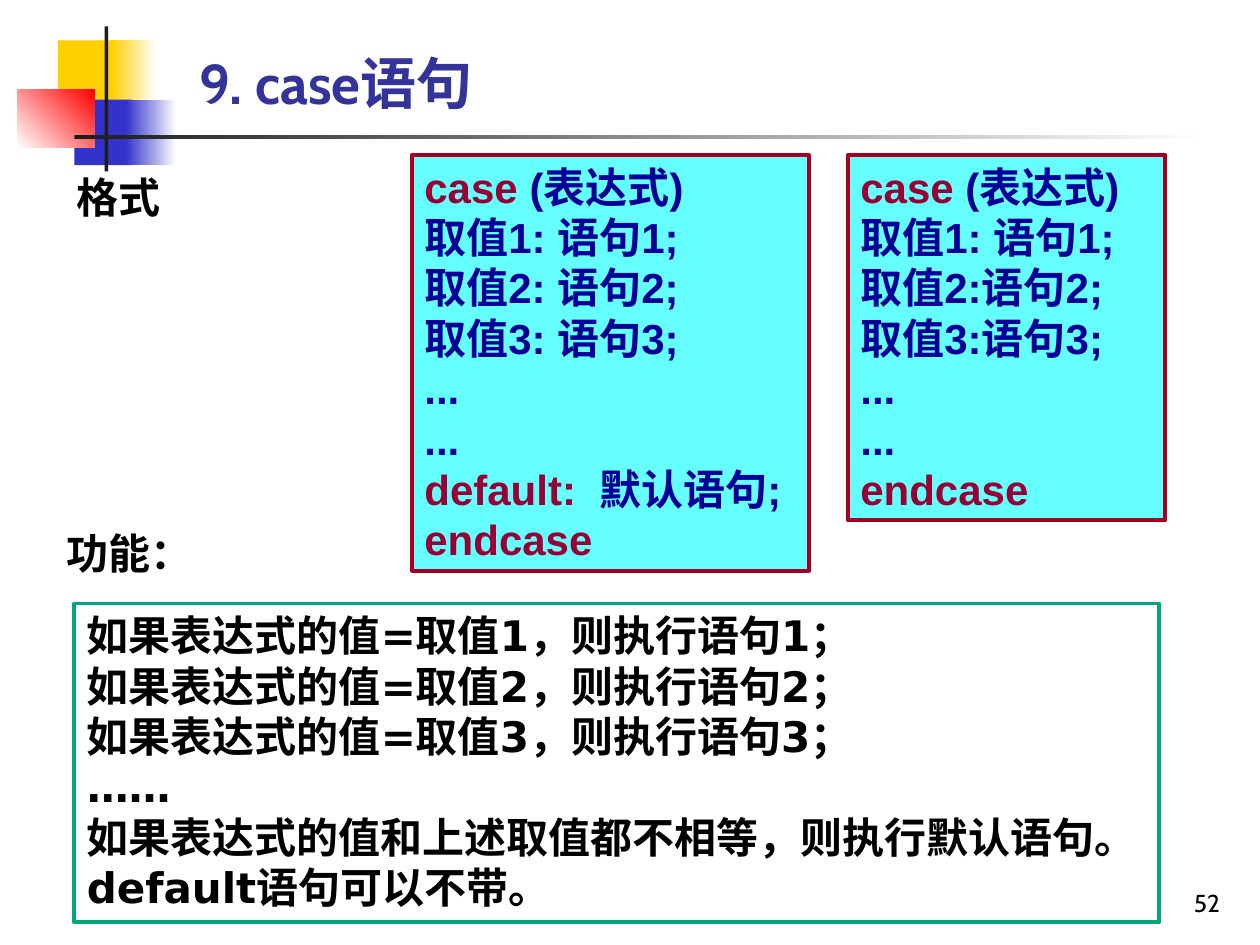
from pptx import Presentation
from pptx.dml.color import RGBColor
from pptx.enum.shapes import MSO_SHAPE
from pptx.enum.text import MSO_ANCHOR, PP_ALIGN
from pptx.util import Inches, Pt

RECTANGLE = MSO_SHAPE.RECTANGLE
TOP, BOTTOM = MSO_ANCHOR.TOP, MSO_ANCHOR.BOTTOM
LEFT, RIGHT = PP_ALIGN.LEFT, PP_ALIGN.RIGHT
KEYWORD, CODE, BLACK = "990033", "000099", "000000"


def color(value):
    return RGBColor.from_string(value)


def write(shape, lines, font="DejaVu Sans", size=24, bold=True,
          align=LEFT, anchor=TOP, wrap=True):
    """Fill a shape with lines, each a list of (text, colour) runs."""
    frame = shape.text_frame
    frame.word_wrap = wrap
    frame.vertical_anchor = anchor
    for index, runs in enumerate(lines):
        paragraph = frame.add_paragraph() if index else frame.paragraphs[0]
        paragraph.alignment = align
        paragraph.font.name = font
        paragraph.font.size = Pt(size)
        paragraph.font.bold = bold
        for text, run_color in runs:
            run = paragraph.add_run()
            run.text = text
            run.font.color.rgb = color(run_color)


presentation = Presentation()
presentation.slide_width = Inches(10)
presentation.slide_height = Inches(7.5)
slide = presentation.slides.add_slide(presentation.slide_layouts[5])

# Corner decoration: left, top, width, height, colours, gradient angle
decorations = [
    (0.46, 0.32, 0.48, 0.52, ["FFCF01"], 0),
    (0.88, 0.32, 0.36, 0.52, ["FFCF01", "FFFFFF"], 0),
    (0.59, 0.79, 0.46, 0.52, ["3333CC"], 0),
    (1, 0.79, 0.4, 0.52, ["3333CC", "FFFFFF"], 0),
    (0.14, 0.71, 0.61, 0.46, ["FFFFFF", "FF0000"], 45),
    (0.83, 0.21, 0.03, 1.15, ["1C1C1C"], 0),
    (0.59, 1.07, 9, 0.03, ["1C1C1C", "FFFFFF"], 0),
]
for *box, colors, angle in decorations:
    shape = slide.shapes.add_shape(RECTANGLE, *map(Inches, box))
    shape.shadow.inherit = False
    shape.line.fill.background()
    if len(colors) == 1:
        shape.fill.solid()
        shape.fill.fore_color.rgb = color(colors[0])
    else:
        shape.fill.gradient()
        shape.fill.gradient_angle = angle
        for position, (stop, value) in enumerate(zip(shape.fill.gradient_stops, colors)):
            stop.position = position
            stop.color.rgb = color(value)

title = slide.shapes.title
title.left, title.top = Inches(1.48), Inches(0.21)
title.width, title.height = Inches(8.52), Inches(0.76)
write(title, [[("9. case语句", "333399")]], "Cabin", 32, anchor=BOTTOM)

# Framed boxes: the two case forms and the explanation
head = [[("case", KEYWORD), (" (表达式)", CODE)]]
dots = [[("...", CODE)]] * 2
end = [[("endcase", KEYWORD)]]
with_default = (
    head + [[(f"取值{n}: 语句{n};", CODE)] for n in (1, 2, 3)] + dots
    + [[("default:  ", KEYWORD), ("默认语句;", CODE)]] + end
)
without_default = (
    head + [[("取值1: 语句1;", CODE)]]
    + [[(f"取值{n}:语句{n};", CODE)] for n in (2, 3)] + dots + end
)
explanation = [[(f"如果表达式的值=取值{n}，则执行语句{n}；", BLACK)] for n in (1, 2, 3)] + [
    [("……", BLACK)],
    [("如果表达式的值和上述取值都不相等，则执行默认语句。", BLACK)],
    [("default语句可以不带。", BLACK)],
]
frames = [
    (3.27, 1.23, 3.15, 3.3, "66FFFF", "A50021", "Arial", with_default),
    (6.73, 1.23, 2.52, 2.9, "66FFFF", "A50021", "Arial", without_default),
    (0.59, 4.79, 8.61, 2.53, None, "00A87C", "DejaVu Sans", explanation),
]
for *box, fill, border, font, lines in frames:
    shape = slide.shapes.add_shape(RECTANGLE, *map(Inches, box))
    shape.shadow.inherit = False
    if fill:
        shape.fill.solid()
        shape.fill.fore_color.rgb = color(fill)
    else:
        shape.fill.background()
    shape.line.color.rgb = color(border)
    shape.line.width = Pt(2.25)
    shape.text_frame.margin_right = 0
    write(shape, lines, font)

for text, *box in [("功能：", 0.43, 4.14, 1.21, 0.5), ("格式", 0.51, 1.31, 0.87, 0.5)]:
    label = slide.shapes.add_textbox(*map(Inches, box))
    write(label, [[(text, BLACK)]], wrap=False)

page_number = slide.shapes.add_textbox(Inches(7.7), Inches(6.83), Inches(2.08), Inches(0.5))
write(page_number, [[("52", BLACK)]], "Cabin", 14, False, RIGHT, BOTTOM)

presentation.save("out.pptx")
